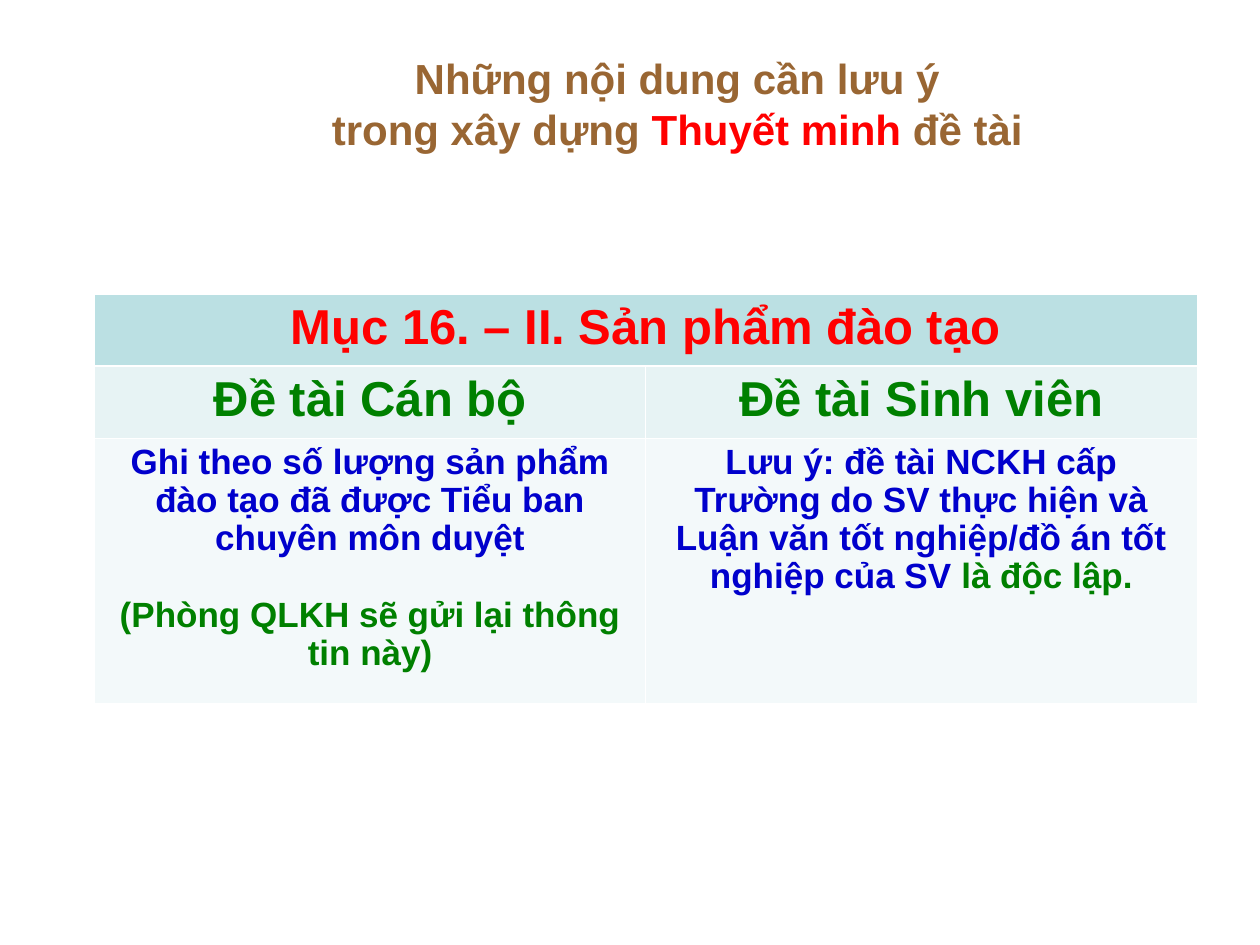
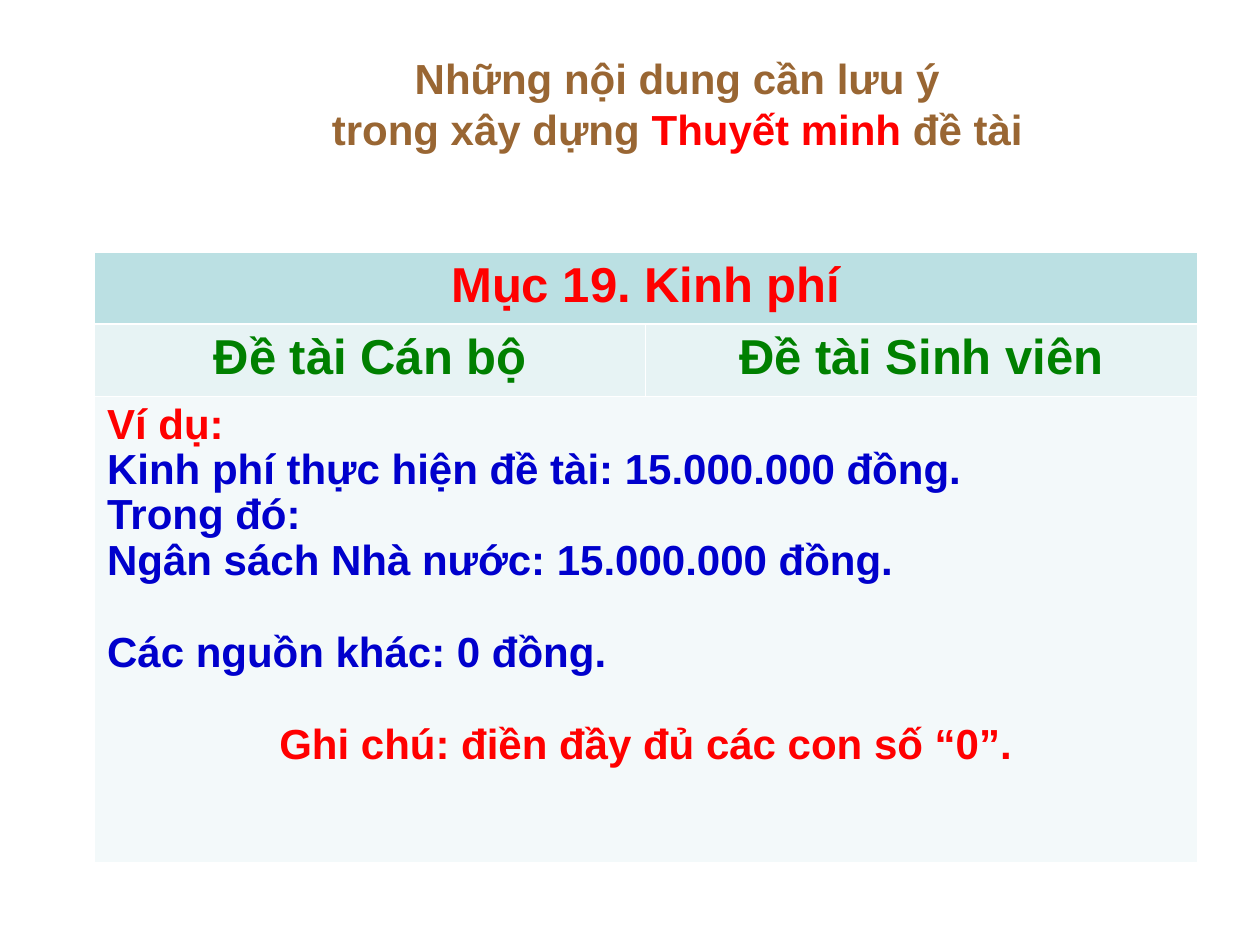
from dataclasses import dataclass

from lxml.etree import SubElement
from pptx import Presentation
from pptx.dml.color import RGBColor
from pptx.enum.text import MSO_ANCHOR, PP_ALIGN
from pptx.oxml.ns import qn
from pptx.slide import Slide
from pptx.table import _Cell
from pptx.text.text import TextFrame, _Paragraph
from pptx.util import Emu, Pt

EMU_PER_PX = 9525
SLIDE_WIDTH, SLIDE_HEIGHT = 960, 720
TITLE_BOX = (120, 29, 792, 99)
TABLE_LEFT, TABLE_WIDTH = 72, 840
HEADING_HEIGHT = 55

FONT = "Arial"
TITLE_SIZE, HEADING_SIZE = 24, 28
THIN_BORDER, HEADER_BORDER = 0.45, 1.47

BROWN = RGBColor(0x99, 0x66, 0x33)
RED = RGBColor(0xFF, 0x00, 0x00)
GREEN = RGBColor(0x00, 0x80, 0x00)
BLUE = RGBColor(0x00, 0x00, 0xCC)
WHITE = RGBColor(0xFF, 0xFF, 0xFF)
HEADER_FILL = RGBColor(0xBB, 0xE0, 0xE3)
COLUMN_FILL = RGBColor(0xE7, 0xF3, 0xF4)
BODY_FILL = RGBColor(0xF3, 0xF9, 0xFA)


@dataclass(frozen=True)
class Span:
    text: str
    color: RGBColor


@dataclass(frozen=True)
class Line:
    spans: tuple[Span, ...]
    size: int
    alignment: PP_ALIGN = PP_ALIGN.CENTER
    space_before: float = 0
    line_spacing: float = 1.0


@dataclass(frozen=True)
class TopicSlide:
    heading: str
    table_top: int
    body_height: int
    body_cells: tuple[tuple[Line, ...], ...]


def px(length: int) -> Emu:
    return Emu(length * EMU_PER_PX)


def heading(text: str, color: RGBColor) -> tuple[Line, ...]:
    return (Line((Span(text, color),), HEADING_SIZE),)


def body(*spans: Span, size: int = 20, alignment: PP_ALIGN = PP_ALIGN.CENTER,
         gap: bool = False) -> Line:
    return Line(spans, size, alignment, size * 1.11 if gap else 0, 0.97)


def budget(text: str, color: RGBColor = BLUE, alignment: PP_ALIGN = PP_ALIGN.LEFT,
           gap: bool = False) -> Line:
    return body(Span(text, color), size=24, alignment=alignment, gap=gap)


TITLE = (
    Line((Span("Những nội dung cần lưu ý", BROWN),), TITLE_SIZE),
    Line((Span("trong xây dựng ", BROWN), Span("Thuyết minh ", RED),
          Span("đề tài", BROWN)), TITLE_SIZE),
)
COLUMN_HEADINGS = ("Đề tài Cán bộ", "Đề tài Sinh viên")

TOPICS = (
    TopicSlide("Mục 16. – II. Sản phẩm đào tạo", 224, 202, (
        (
            body(Span("Ghi theo số lượng sản phẩm đào tạo đã được Tiểu ban "
                      "chuyên môn duyệt", BLUE)),
            body(Span("(Phòng QLKH sẽ gửi lại thông tin này)", GREEN), gap=True),
        ),
        (
            body(Span("Lưu ý: đề tài NCKH cấp Trường do SV thực hiện và Luận văn "
                      "tốt nghiệp/đồ án tốt nghiệp của SV ", BLUE),
                 Span("là độc lập.", GREEN)),
        ),
    )),
    TopicSlide("Mục 19. Kinh phí", 192, 355, (
        (
            budget("Ví dụ:", RED),
            budget("Kinh phí thực hiện đề tài: 15.000.000 đồng."),
            budget("Trong đó:"),
            budget("Ngân sách Nhà nước: 15.000.000 đồng."),
            budget("Các nguồn khác: 0 đồng.", gap=True),
            budget("Ghi chú: điền đầy đủ các con số “0”.", RED, PP_ALIGN.CENTER, True),
        ),
    )),
)


def write_line(paragraph: _Paragraph, line: Line) -> None:
    paragraph.alignment = line.alignment
    paragraph.space_before = Pt(line.space_before)
    paragraph.line_spacing = line.line_spacing
    for span in line.spans:
        run = paragraph.add_run()
        run.text = span.text
        run.font.name = FONT
        run.font.size = Pt(line.size)
        run.font.bold = True
        run.font.color.rgb = span.color


def write_lines(text_frame: TextFrame, lines: tuple[Line, ...]) -> None:
    text_frame.word_wrap = True
    write_line(text_frame.paragraphs[0], lines[0])
    for line in lines[1:]:
        write_line(text_frame.add_paragraph(), line)


def style_cell(cell: _Cell, fill: RGBColor, top: float, bottom: float) -> None:
    cell.fill.solid()
    cell.fill.fore_color.rgb = fill
    properties = cell._tc.get_or_add_tcPr()
    sides = {"a:lnL": THIN_BORDER, "a:lnR": THIN_BORDER, "a:lnT": top, "a:lnB": bottom}
    for position, (tag, width) in enumerate(sides.items()):
        border = SubElement(properties, qn(tag), w=str(Pt(width)))
        solid = SubElement(border, qn("a:solidFill"))
        SubElement(solid, qn("a:srgbClr"), val=str(WHITE))
        properties.insert(position, border)


def add_title(slide: Slide) -> None:
    text_frame = slide.shapes.add_textbox(*map(px, TITLE_BOX)).text_frame
    text_frame.vertical_anchor = MSO_ANCHOR.MIDDLE
    write_lines(text_frame, TITLE)


def add_topic_table(slide: Slide, topic: TopicSlide) -> None:
    rows = (
        ((heading(topic.heading, RED),), HEADER_FILL, HEADING_HEIGHT),
        (tuple(heading(text, GREEN) for text in COLUMN_HEADINGS),
         COLUMN_FILL, HEADING_HEIGHT),
        (topic.body_cells, BODY_FILL, topic.body_height),
    )
    column_count = len(COLUMN_HEADINGS)
    table = slide.shapes.add_table(
        len(rows), column_count, px(TABLE_LEFT), px(topic.table_top),
        px(TABLE_WIDTH), px(sum(height for _, _, height in rows))).table
    for row_index, (contents, fill, height) in enumerate(rows):
        table.rows[row_index].height = px(height)
        top = HEADER_BORDER if row_index == 1 else THIN_BORDER
        bottom = HEADER_BORDER if row_index == 0 else THIN_BORDER
        for column_index in range(column_count):
            style_cell(table.cell(row_index, column_index), fill, top, bottom)
        if len(contents) == 1:
            table.cell(row_index, 0).merge(table.cell(row_index, column_count - 1))
        for column_index, lines in enumerate(contents):
            write_lines(table.cell(row_index, column_index).text_frame, lines)


def main() -> None:
    presentation = Presentation()
    presentation.slide_width = px(SLIDE_WIDTH)
    presentation.slide_height = px(SLIDE_HEIGHT)
    for topic in TOPICS:
        slide = presentation.slides.add_slide(presentation.slide_layouts[6])
        add_title(slide)
        add_topic_table(slide, topic)
    presentation.save("out.pptx")


if __name__ == "__main__":
    main()
